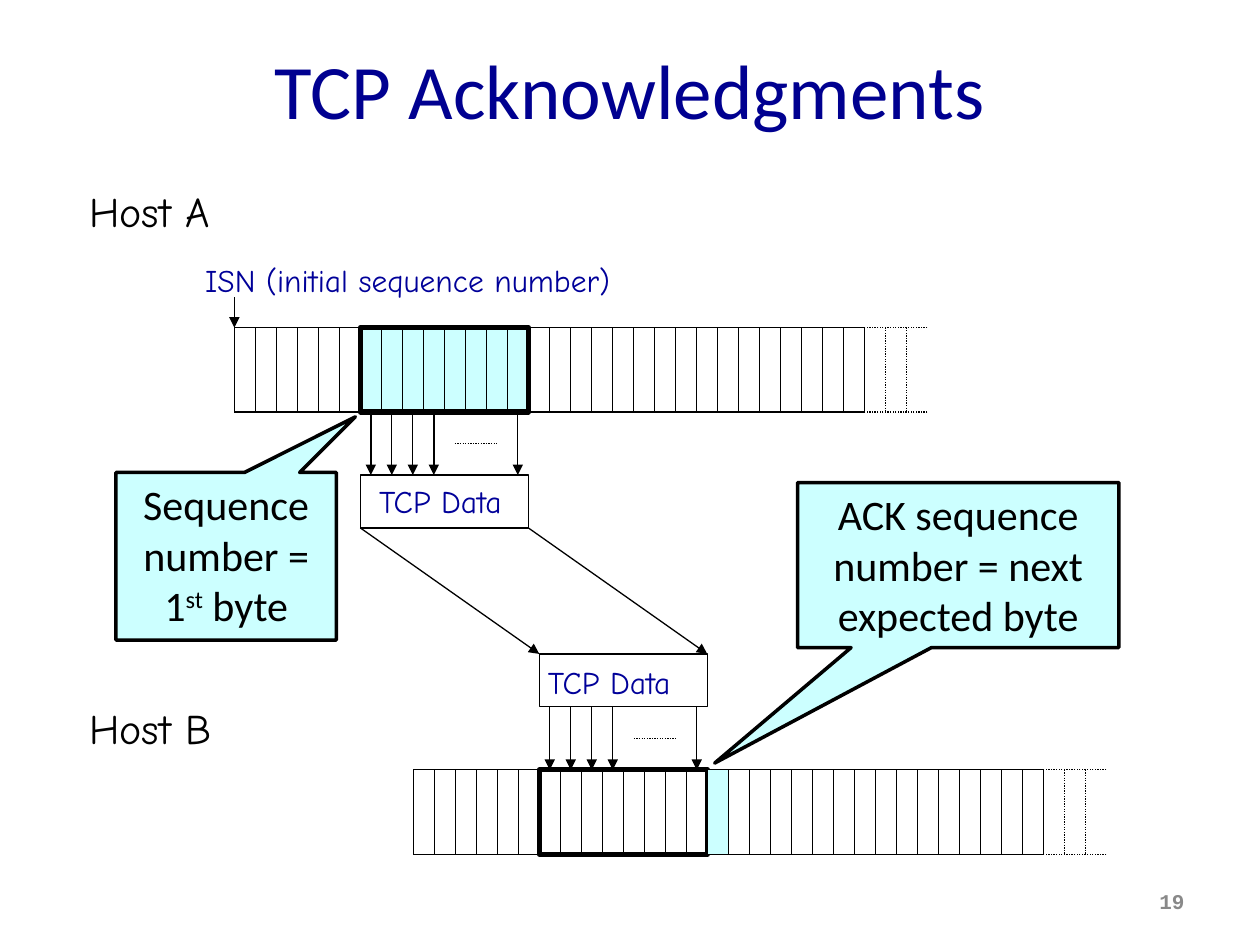
import dataclasses

import pptx
import pptx.dml.color
import pptx.enum.dml
import pptx.enum.shapes
import pptx.enum.text
import pptx.oxml
import pptx.util
from pptx.util import Inches

SHAPE = pptx.enum.shapes.MSO_SHAPE
ALIGN = pptx.enum.text.PP_ALIGN
ANCHOR = pptx.enum.text.MSO_ANCHOR


@dataclasses.dataclass(frozen=True)
class Theme:
    """Colours, fonts and sizes of the slide."""
    black: str = "000000"
    white: str = "FFFFFF"
    cyan: str = "CCFFFF"
    title: str = "000090"
    label: str = "000099"
    grey: str = "898989"
    sans: str = "Calibri"
    hand: str = "Comic Neue"
    mono: str = "Courier New"
    title_size: int = 44
    body_size: int = 24
    label_size: int = 18
    number_size: int = 12
    thin: float = 0.75
    medium: float = 2
    thick: float = 3


T = Theme()
CELL = 1 / 6
CELL_H = 0.67
SOLID_CELLS, ALL_CELLS = 30, 33
SEGMENT_START, SEGMENT_CELLS = 6, 8
SEGMENT_W = SEGMENT_CELLS * CELL
PACKET_H = 0.42


def rgb(value):
    """Return a colour from its hex string."""
    return pptx.dml.color.RGBColor.from_string(value)


def write(tf, text, font=T.sans, size=T.body_size, color=T.black, bold=False,
          align=ALIGN.LEFT, anchor=ANCHOR.TOP, wrap=True):
    """Write text into a frame; parts between ^ marks are superscript."""
    tf.word_wrap = wrap
    tf.vertical_anchor = anchor
    p = tf.paragraphs[0]
    p.alignment = align
    for i, part in enumerate(text.split("^")):
        r = p.add_run()
        r.text = part
        r.font.name = font
        r.font.size = pptx.util.Pt(size)
        r.font.bold = bold
        r.font.color.rgb = rgb(color)
        if i % 2:
            r._r.get_or_add_rPr().set("baseline", "30000")


def add_text(s, x, y, w, h, text, **style):
    """Add a text box."""
    sp = s.shapes.add_textbox(Inches(x), Inches(y), Inches(w), Inches(h))
    write(sp.text_frame, text, **style)


def add_box(s, x, y, w, h, fill=None, width=T.thin, kind=SHAPE.RECTANGLE):
    """Add an outlined shape, hollow when no fill is given."""
    sp = s.shapes.add_shape(kind, Inches(x), Inches(y), Inches(w), Inches(h))
    sp.shadow.inherit = False
    if fill:
        sp.fill.solid()
        sp.fill.fore_color.rgb = rgb(fill)
    else:
        sp.fill.background()
    sp.line.color.rgb = rgb(T.black)
    sp.line.width = pptx.util.Pt(width)
    return sp


def add_callout(s, x, y, w, h, tip, text):
    """Add a rectangular callout whose tip is given as adjustments."""
    sp = add_box(s, x, y, w, h, T.cyan, T.medium, SHAPE.RECTANGULAR_CALLOUT)
    for i, value in enumerate(tip):
        sp.adjustments[i] = value
    write(sp.text_frame, text, align=ALIGN.CENTER)


def add_line(shapes, x1, y1, x2, y2, dotted=False, arrow=False):
    """Add a thin line, dotted or with an arrowhead at its end."""
    c = shapes.add_connector(pptx.enum.shapes.MSO_CONNECTOR.STRAIGHT,
                             Inches(x1), Inches(y1), Inches(x2), Inches(y2))
    c.line.color.rgb = rgb(T.black)
    c.line.width = pptx.util.Pt(T.thin)
    if dotted:
        c.line.dash_style = pptx.enum.dml.MSO_LINE.ROUND_DOT
    if arrow:
        ln = c.line._get_or_add_ln()
        ln.append(pptx.oxml.parse_xml(
            '<a:tailEnd xmlns:a="http://schemas.openxmlformats.org/drawingml/2006/main" type="triangle"/>'))
    c._element.spPr.append(pptx.oxml.parse_xml(
        '<a:effectLst xmlns:a="http://schemas.openxmlformats.org/drawingml/2006/main"/>'))


def add_byte_stream(s, x, y):
    """Draw a row of byte cells that fades out in dotted lines."""
    rails = s.shapes.add_group_shape().shapes
    solid_end, end = x + SOLID_CELLS * CELL, x + ALL_CELLS * CELL
    for rail_y in (y, y + CELL_H):
        add_line(rails, x, rail_y, solid_end, rail_y)
        add_line(rails, end, rail_y, solid_end, rail_y, dotted=True)
    for i in range(ALL_CELLS):
        cell_x = x + i * CELL
        add_line(s.shapes, cell_x, y, cell_x, y + CELL_H, dotted=i > SOLID_CELLS)


def add_byte_arrows(s, x, top, bottom):
    """Draw arrows from the middle of the cells, with dots for those left out."""
    for i in (0, 1, 2, 3, SEGMENT_CELLS - 1):
        arrow_x = x + (i + 0.5) * CELL
        add_line(s.shapes, arrow_x, top, arrow_x, bottom, arrow=True)
    middle = (top + bottom) / 2
    add_line(s.shapes, x + 4.5 * CELL, middle, x + 6.5 * CELL, middle, dotted=True)


def add_title(s, text):
    """Place and fill the title placeholder."""
    sp = s.shapes.title
    sp.left, sp.top, sp.width, sp.height = map(Inches, (0.5, 0.08, 9, 1.25))
    write(sp.text_frame, text, size=T.title_size, color=T.title,
          align=ALIGN.CENTER, anchor=ANCHOR.MIDDLE)


def main():
    """Build the slide and save it."""
    prs = pptx.Presentation()
    prs.slide_width, prs.slide_height = Inches(10), Inches(7.5)
    s = prs.slides.add_slide(prs.slide_layouts[5])
    add_title(s, "TCP Acknowledgments")

    a_x, a_y, b_x, b_y = 1.86, 2.6, 3.28, 6.11
    sent_x, got_x = (x + SEGMENT_START * CELL for x in (a_x, b_x))
    sent_y, got_y = 3.77, 5.19
    add_box(s, sent_x, a_y, SEGMENT_W, CELL_H, T.cyan, T.thick)
    add_byte_stream(s, a_x, a_y)
    add_byte_stream(s, b_x, b_y)

    for y, host in ((1.42, "Host A"), (5.53, "Host B")):
        add_text(s, 0.61, y, 1.29, 0.5, host, font=T.hand, wrap=False)
    for x, y in ((sent_x, sent_y), (got_x, got_y)):
        add_box(s, x, y, SEGMENT_W, PACKET_H, T.white)
    for offset in (0, SEGMENT_W):
        add_line(s.shapes, sent_x + offset, sent_y + PACKET_H,
                 got_x + offset, got_y, arrow=True)
    add_byte_arrows(s, sent_x, a_y + CELL_H, sent_y)
    add_byte_arrows(s, got_x, got_y + PACKET_H, b_y)

    for x, y, w, text in ((2.91, 3.78, 1.28, "TCP Data"),
                          (4.25, 5.21, 1.28, "TCP Data"),
                          (1.53, 2.02, 3.68, "ISN (initial sequence number)")):
        add_text(s, x, y, w, 0.4, text, font=T.hand, size=T.label_size,
                 color=T.label, wrap=False)
    add_line(s.shapes, a_x, 2.36, a_x, a_y, arrow=True)

    add_callout(s, 0.92, 3.75, 1.75, 1.33, (0.586, -0.832),
                "Sequence number = 1^st^ byte")
    add_box(s, got_x, b_y, SEGMENT_W, CELL_H, width=T.thick)
    add_callout(s, 6.33, 3.83, 2.55, 1.31, (-0.758, 1.2),
                "ACK sequence number = next expected byte")
    add_box(s, got_x + SEGMENT_W, b_y, CELL, CELL_H, T.cyan)
    add_text(s, 7.17, 6.95, 2.33, 0.4, "19", font=T.mono, size=T.number_size,
             color=T.grey, bold=True, align=ALIGN.RIGHT, anchor=ANCHOR.MIDDLE)
    prs.save("out.pptx")


if __name__ == "__main__":
    main()
